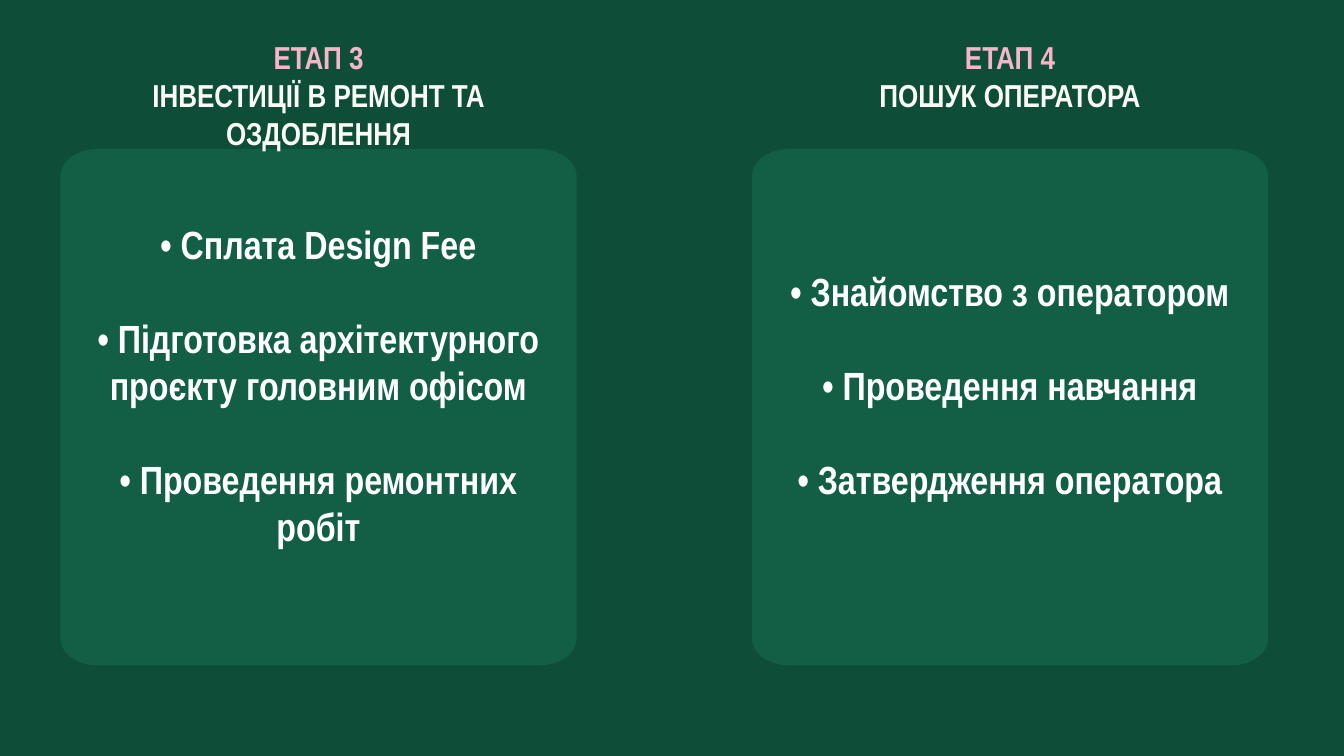
from dataclasses import dataclass
from math import cos, pi, sin

from pptx import Presentation
from pptx.dml.color import RGBColor
from pptx.enum.text import MSO_AUTO_SIZE, PP_ALIGN
from pptx.slide import Slide
from pptx.util import Emu, Pt

PX = 9144
CARD_TOP, CARD_SIZE = 222, 768
CORNER_X, CORNER_Y, CORNER_STEPS = 54, 40, 12
HEADING_TOP, HEADING_WIDTH, HEADING_HEIGHT = 56, 744, 112
TASKS_WIDTH = 684
HEADING_FORMAT = {"size": Pt(34), "name": "Arial Narrow", "bold": True}
TASK_FORMAT = {"size": Pt(42.1), "name": "Arial Narrow", "bold": True}
HEADING_LINE, TASK_LINE = Pt(40.8), Pt(50.5)


@dataclass(frozen=True)
class Line:
    text: str
    color: str


@dataclass(frozen=True)
class Stage:
    left: int
    label: str
    title: str
    tasks: tuple[str, ...]
    tasks_top: int
    tasks_height: int


STAGES = (
    Stage(90, "ЕТАП 3", "ІНВЕСТИЦІЇ В РЕМОНТ ТА ОЗДОБЛЕННЯ",
          ("Сплата Design Fee",
           "Підготовка архітектурного проєкту головним офісом",
           "Проведення ремонтних робіт"), 327, 488),
    Stage(1119, "ЕТАП 4", "ПОШУК ОПЕРАТОРА",
          ("Знайомство з оператором",
           "Проведення навчання",
           "Затвердження оператора"), 397, 348),
)


def px(length: float) -> Emu:
    """Turn px into EMU."""
    return Emu(round(length * PX))


def rgb(color: str) -> RGBColor:
    """Turn a hex string into a colour."""
    return RGBColor.from_string(color)


def draw_card(slide: Slide, left: int) -> None:
    """Draw a square card with elliptical corners."""
    center_x, center_y = left + CARD_SIZE / 2, CARD_TOP + CARD_SIZE / 2
    reach_x, reach_y = CARD_SIZE / 2 - CORNER_X, CARD_SIZE / 2 - CORNER_Y
    outline = []
    for corner, (side_x, side_y) in enumerate(((1, 1), (-1, 1), (-1, -1), (1, -1))):
        for step in range(CORNER_STEPS + 1):
            angle = (corner + step / CORNER_STEPS) * pi / 2
            outline.append((px(center_x + side_x * reach_x + CORNER_X * cos(angle)),
                            px(center_y + side_y * reach_y + CORNER_Y * sin(angle))))
    builder = slide.shapes.build_freeform(*outline[0])
    builder.add_line_segments(outline[1:], close=True)
    card = builder.convert_to_shape()
    card.shadow.inherit = False
    card.fill.solid()
    card.fill.fore_color.rgb = rgb("135F45")
    card.line.fill.background()


def draw_lines(slide: Slide, stage: Stage, top: int, width: int, height: int,
               lines: list[Line], font_format: dict, spacing: Pt, gap: Pt) -> None:
    """Write centred lines in a box centred on the stage's card."""
    left = stage.left + (CARD_SIZE - width) / 2
    frame = slide.shapes.add_textbox(px(left), px(top), px(width), px(height)).text_frame
    frame_format = {"word_wrap": True, "auto_size": MSO_AUTO_SIZE.SHAPE_TO_FIT_TEXT,
                    "margin_left": 0, "margin_top": 0,
                    "margin_right": 0, "margin_bottom": 0}
    for name, value in frame_format.items():
        setattr(frame, name, value)
    for index, line in enumerate(lines):
        paragraph = frame.add_paragraph() if index else frame.paragraphs[0]
        paragraph.alignment = PP_ALIGN.CENTER
        paragraph.line_spacing = spacing
        paragraph.space_before = gap if index else Pt(0)
        run = paragraph.add_run()
        run.text = line.text
        for name, value in font_format.items():
            setattr(run.font, name, value)
        run.font.color.rgb = rgb(line.color)


def draw_stage(slide: Slide, stage: Stage) -> None:
    """Draw one stage: its card, heading and tasks."""
    draw_card(slide, stage.left)
    heading = [Line(stage.label, "F4B6C8"), Line(stage.title, "FBFBF8")]
    draw_lines(slide, stage, HEADING_TOP, HEADING_WIDTH, HEADING_HEIGHT,
               heading, HEADING_FORMAT, HEADING_LINE, Pt(0))
    tasks = [Line(f"• {task}", "FFFFFF") for task in stage.tasks]
    draw_lines(slide, stage, stage.tasks_top, TASKS_WIDTH, stage.tasks_height,
               tasks, TASK_FORMAT, TASK_LINE, TASK_LINE)


def main() -> None:
    """Build the slide and save it."""
    presentation = Presentation()
    presentation.slide_width, presentation.slide_height = px(2000), px(1125)
    slide = presentation.slides.add_slide(presentation.slide_layouts[6])
    slide.background.fill.solid()
    slide.background.fill.fore_color.rgb = rgb("0E4D38")
    for stage in STAGES:
        draw_stage(slide, stage)
    presentation.save("out.pptx")


if __name__ == "__main__":
    main()
